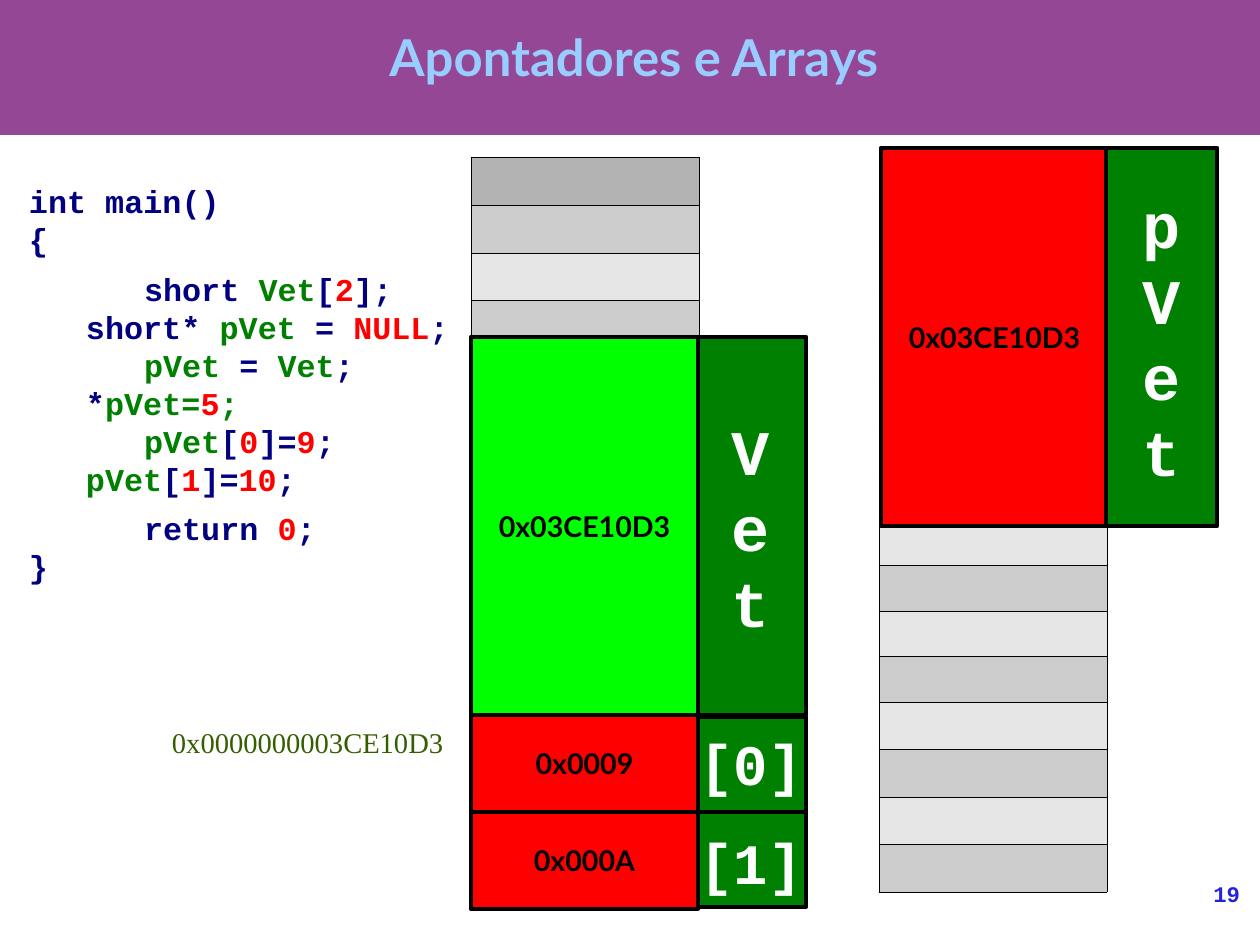
from dataclasses import dataclass

from lxml.etree import SubElement
from pptx import Presentation
from pptx.dml.color import RGBColor
from pptx.enum.shapes import MSO_CONNECTOR, MSO_SHAPE
from pptx.enum.text import MSO_ANCHOR, MSO_AUTO_SIZE, PP_ALIGN
from pptx.oxml.ns import qn
from pptx.util import Emu, Pt

PX = 8000


@dataclass(frozen=True)
class Theme:
    band: str = "944794"
    heading: str = "99CCFF"
    keyword: str = "000080"
    variable: str = "008000"
    literal: str = "FF0000"
    pointed: str = "00FF00"
    address: str = "355E00"
    number: str = "2323DC"
    ink: str = "000000"
    paper: str = "FFFFFF"
    cell_first: str = "B3B3B3"
    cell_dark: str = "CCCCCC"
    cell_light: str = "E6E6E6"
    sans: str = "Lato"
    mono: str = "Courier New"
    serif: str = "Times New Roman"
    heading_size: int = 32
    code_size: int = 20
    value_size: int = 18
    name_size: int = 40
    index_size: int = 36
    number_size: int = 14
    outline: float = 2.83
    hairline: float = 0.06


def rgb(color):
    return RGBColor.from_string(color)


def px(*lengths):
    return [Emu(length * PX) for length in lengths]


class MemorySlide:
    def __init__(self, slide, theme):
        self.slide = slide
        self.theme = theme

    def font(self, run, name, size, color, bold=True):
        run.font.name = name
        run.font.size = Pt(size)
        run.font.bold = bold
        run.font.color.rgb = rgb(color)

    def frame(self, shape, inset=(0, 0), anchor=MSO_ANCHOR.MIDDLE):
        frame = shape.text_frame
        frame.word_wrap = True
        frame.auto_size = MSO_AUTO_SIZE.NONE
        frame.vertical_anchor = anchor
        frame.margin_left, frame.margin_top = px(*inset)
        frame.margin_right, frame.margin_bottom = px(*inset)
        return frame

    def words(self, frame, text, name, size, color, bold=True, align=PP_ALIGN.CENTER):
        frame.text = text
        for paragraph in frame.paragraphs:
            paragraph.alignment = align
            for run in paragraph.runs:
                self.font(run, name, size, color, bold)

    def title(self, text, *box):
        heading = self.slide.shapes.title
        heading.left, heading.top, heading.width, heading.height = px(*box)
        self.words(self.frame(heading), text, self.theme.sans,
                   self.theme.heading_size, self.theme.heading)

    def band(self, *box):
        band = self.slide.shapes.add_shape(MSO_SHAPE.RECTANGLE, *px(*box))
        band.shadow.inherit = False
        band.fill.solid()
        band.fill.fore_color.rgb = rgb(self.theme.band)
        band.line.fill.background()
        self.slide.shapes._spTree.insert(2, band._element)

    def block(self, box, fill, text, name, size, color, inset=(0, 0)):
        block = self.slide.shapes.add_shape(MSO_SHAPE.RECTANGLE, *px(*box))
        block.shadow.inherit = False
        block.fill.solid()
        block.fill.fore_color.rgb = rgb(fill)
        block.line.color.rgb = rgb(self.theme.ink)
        block.line.width = Pt(self.theme.outline)
        self.words(self.frame(block, inset), text, name, size, color)
        return block

    def value(self, box, fill, text):
        self.block(box, fill, text, self.theme.sans, self.theme.value_size,
                   self.theme.ink, (11, 6))

    def variable(self, box, text):
        self.block(box, self.theme.variable, text, self.theme.mono,
                   self.theme.name_size, self.theme.paper, (14, 8))

    def indexes(self, box, text):
        pair = self.block(box, self.theme.variable, text, self.theme.mono,
                          self.theme.index_size, self.theme.paper)
        pair.text_frame.paragraphs[0].space_after = Pt(17)
        pair.text_frame.paragraphs[1].space_before = Pt(2.3)
        left, top, width, height = box
        middle = top + height // 2
        divider = self.slide.shapes.add_connector(
            MSO_CONNECTOR.STRAIGHT, *px(left, middle, left + width, middle))
        divider.begin_connect(pair, 1)
        divider.end_connect(pair, 3)
        divider.line.color.rgb = rgb(self.theme.ink)
        divider.line.width = Pt(self.theme.outline)
        SubElement(divider._element.spPr, qn("a:effectLst"))

    def label(self, box, text, name, size, color, bold, align, inset=(0, 0)):
        label = self.slide.shapes.add_textbox(*px(*box))
        self.words(self.frame(label, inset, MSO_ANCHOR.TOP), text, name, size,
                   color, bold, align)

    def code(self, box, lines):
        listing = self.slide.shapes.add_textbox(*px(*box))
        frame = self.frame(listing, (11, 6), MSO_ANCHOR.TOP)
        for position, (indent, gap, tokens) in enumerate(lines):
            line = frame.add_paragraph() if position else frame.paragraphs[0]
            line.space_before = Pt(gap)
            line._p.get_or_add_pPr().set("marL", str(indent * PX))
            for text, color in tokens:
                run = line.add_run()
                run.text = text
                self.font(run, self.theme.mono, self.theme.code_size, color)

    def border(self, cell):
        for side in ("a:lnL", "a:lnR", "a:lnT", "a:lnB"):
            edge = SubElement(cell._tc.get_or_add_tcPr(), qn(side),
                              w=str(int(Pt(self.theme.hairline))))
            paint = SubElement(edge, qn("a:solidFill"))
            SubElement(paint, qn("a:srgbClr"), val=self.theme.ink)

    def memory(self, left, top, width, heights):
        memory = self.slide.shapes.add_table(
            len(heights), 1, *px(left, top, width, sum(heights))).table
        memory.first_row = False
        memory.horz_banding = False
        shades = (self.theme.cell_light, self.theme.cell_dark)
        for index, height in enumerate(heights):
            memory.rows[index].height = Emu(height * PX)
            cell = memory.cell(index, 0)
            cell.margin_top = cell.margin_bottom = 0
            self.border(cell)
            cell.fill.solid()
            cell.fill.fore_color.rgb = rgb(
                shades[index % 2] if index else self.theme.cell_first)


def main():
    deck = Presentation()
    deck.slide_width, deck.slide_height = px(1260, 945)
    theme = Theme()
    page = MemorySlide(deck.slides.add_slide(deck.slide_layouts[5]), theme)
    word, name, literal = theme.keyword, theme.variable, theme.literal
    outer, inner = 57, 115
    program = [
        (0, 0, [("int main()", word)]),
        (0, 0, [("{", word)]),
        (inner, 7, [("short ", word), ("Vet", name), ("[", word), ("2", literal), ("];", word)]),
        (outer, 0, [("short* ", word), ("pVet ", name), ("= ", word), ("NULL", literal), (";", word)]),
        (inner, 0, [("pVet ", name), ("= ", word), ("Vet", name), (";", word)]),
        (outer, 0, [("*", word), ("pVet=", name), ("5", literal), (";", name)]),
        (inner, 0, [("pVet", name), ("[", word), ("0", literal), ("]=", word), ("9", literal), (";", word)]),
        (outer, 0, [("pVet", name), ("[", word), ("1", literal), ("]=", word), ("10", literal), (";", word)]),
        (inner, 7, [("return ", word), ("0", literal), (";", word)]),
        (0, 0, [("}", word)]),
    ]
    rows = [48, 48, 47, 48] + [45, 46] * 4 + [47, 48] * 2

    page.band(0, -1, 1260, 136)
    page.title("Apontadores e Arrays", 67, -23, 1134, 158)
    page.memory(471, 157, 228, rows)
    page.memory(879, 147, 228, rows)
    page.code((18, 176, 455, 522), program)
    page.variable((696, 337, 110, 378), "V\ne\nt")
    page.indexes((696, 717, 110, 190), "[0]\n[1]")
    page.label((161, 719, 301, 43), "0x0000000003CE10D3", theme.serif,
               theme.value_size, theme.address, False, PP_ALIGN.LEFT, (11, 6))
    page.value((881, 148, 227, 378), literal, "0x03CE10D3")
    page.variable((1106, 148, 111, 378), "p\nV\ne\nt")
    page.value((471, 812, 227, 97), literal, "0x000A")
    page.value((471, 337, 227, 378), theme.pointed, "0x03CE10D3")
    page.value((471, 715, 227, 97), literal, "0x0009")
    page.label((1048, 880, 192, 65), "19", theme.mono, theme.number_size,
               theme.number, True, PP_ALIGN.RIGHT)
    deck.save("out.pptx")


if __name__ == "__main__":
    main()
